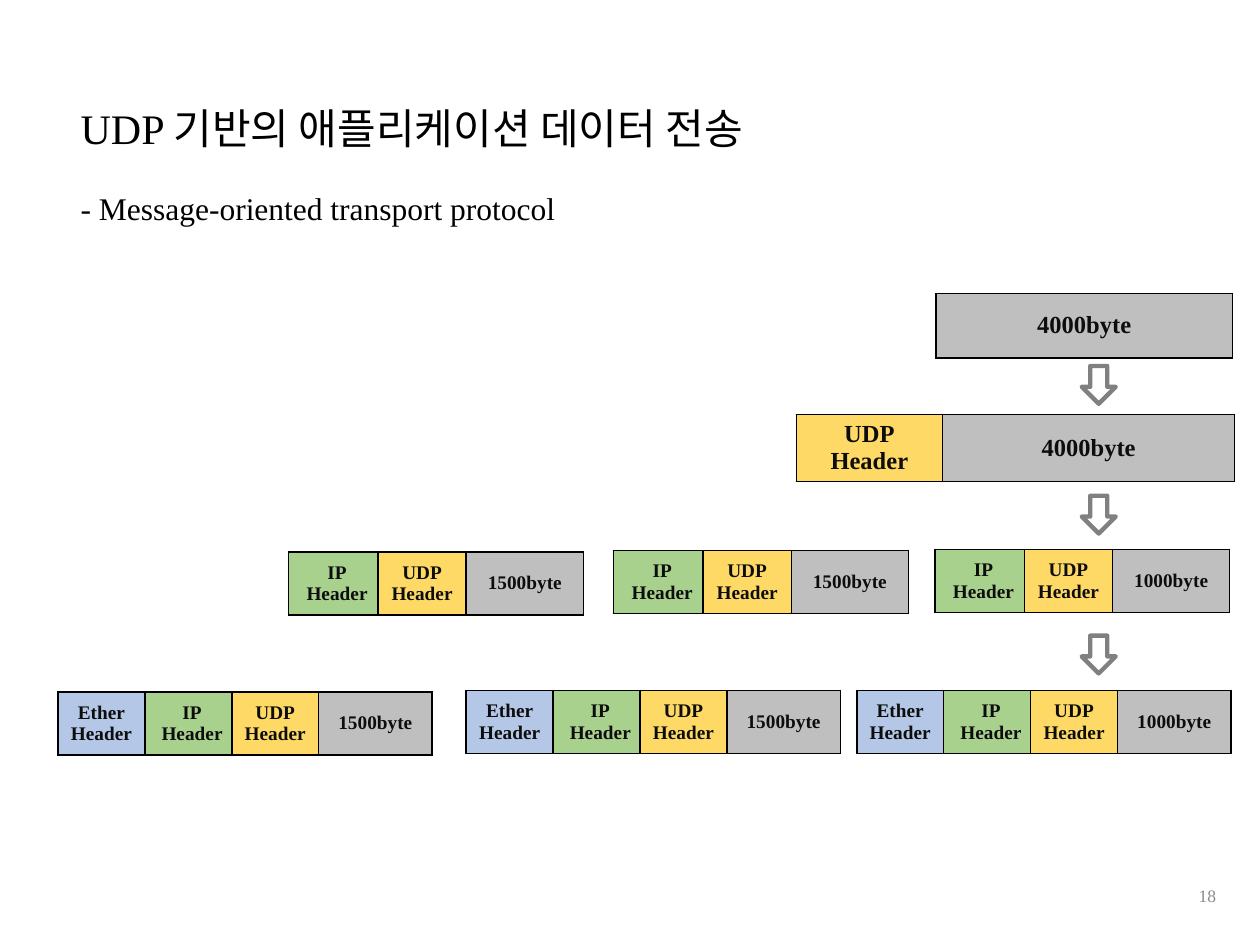
import pptx
import pptx.dml.color
import pptx.enum.shapes
import pptx.enum.text
import pptx.oxml
import pptx.oxml.ns
import pptx.util

deck = pptx.Presentation()
deck.slide_width = pptx.util.Inches(10)
deck.slide_height = pptx.util.Inches(7.5)
COLUMN = deck.slide_width / 100
ROW = deck.slide_height / 75
SERIF = "Times New Roman"
KOREAN = "Noto Sans CJK KR"
ANCHOR = pptx.enum.text.MSO_ANCHOR
ALIGN = pptx.enum.text.PP_ALIGN


def color(value):
    return pptx.dml.color.RGBColor.from_string(value)


def place(left, top, width, height):
    return int(left * COLUMN), int(top * ROW), int(width * COLUMN), int(height * ROW)


page = deck.slides.add_slide(deck.slide_layouts[1])
title, body = page.shapes.title, page.placeholders[1]
number = page.shapes.add_textbox(*place(75, 69.1, 22.5, 4))

texts = [
    (title, (5.4, 7.6, 59.2, 5), ["UDP ", "기반의 애플리케이션 데이터 전송"], 24, "000000", ALIGN.LEFT, ANCHOR.TOP),
    (body, (5.4, 14.5, 40.1, 4), ["- Message-oriented transport protocol"], 18, "000000", ALIGN.LEFT, ANCHOR.TOP),
    (number, (75, 69.1, 22.5, 4), ["18"], 10, "8C8C8C", ALIGN.RIGHT, ANCHOR.MIDDLE),
]
for box, area, spans, size, ink, align, anchor in texts:
    box.left, box.top, box.width, box.height = place(*area)
    frame = box.text_frame
    frame.auto_size = pptx.enum.text.MSO_AUTO_SIZE.NONE
    frame.word_wrap = box is number
    frame.vertical_anchor = anchor
    para = frame.paragraphs[0]
    para.alignment = align
    para.space_before = pptx.util.Pt(0)
    if box is body:
        properties = para._p.get_or_add_pPr()
        properties.set("marL", "0")
        properties.set("indent", "0")
        properties.append(pptx.oxml.parse_xml(f'<a:buNone {pptx.oxml.ns.nsdecls("a")}/>'))
    para.font.size = pptx.util.Pt(size)
    para.font.color.rgb = color(ink)
    if box is not title:
        para.font.name = SERIF
    for words in spans:
        span = para.add_run()
        span.text = words
        if box is title:
            span.font.name = SERIF if words == spans[0] else KOREAN
            span.font._element.append(pptx.oxml.parse_xml(
                f'<a:ea {pptx.oxml.ns.nsdecls("a")} typeface="{KOREAN}"/>'))

HEADER_FILLS = {"Ether": "B4C7E7", "IP": "A9D18E", "UDP": "FFD966"}
PACKET, FRAME = ["IP", "UDP"], ["Ether", "IP", "UDP"]
PACKET_WIDTHS, FRAME_WIDTHS = [7.1, 7, 9.3], [6.9, 6.9, 6.9, 9]
units = [
    (63.2, 32.9, [11.6, 23.2], 5.3, 14, ["UDP"], "4000byte"),
    (74.3, 23.3, [23.5], 5.1, 14, [], "4000byte"),
    (22.9, 43.8, PACKET_WIDTHS, 5, 11, PACKET, "1500byte"),
    (48.7, 43.7, PACKET_WIDTHS, 5, 11, PACKET, "1500byte"),
    (74.2, 43.6, PACKET_WIDTHS, 5, 11, PACKET, "1000byte"),
    (4.6, 54.9, FRAME_WIDTHS, 5, 11, FRAME, "1500byte"),
    (37, 54.8, FRAME_WIDTHS, 5, 11, FRAME, "1500byte"),
    (68, 54.8, FRAME_WIDTHS, 5, 11, FRAME, "1000byte"),
]
for left, top, widths, height, size, headers, payload in units:
    area = place(left, top, sum(widths), height)
    table = page.shapes.add_table(1, len(widths), *area).table
    table.first_row = table.horz_banding = False
    for index, (width, label) in enumerate(zip(widths, headers + [payload])):
        table.columns[index].width = int(width * COLUMN)
        cell = table.cell(0, index)
        cell.vertical_anchor = ANCHOR.MIDDLE
        shift = 0.3 if label == "IP" else 0
        cell.margin_left = int((0.7 + shift) * COLUMN)
        cell.margin_right = int((0.7 - shift) * COLUMN)
        cell.margin_top = cell.margin_bottom = int(0.4 * ROW)
        for side in ("lnL", "lnR", "lnT", "lnB"):
            cell._tc.get_or_add_tcPr().append(pptx.oxml.parse_xml(
                f'<a:{side} {pptx.oxml.ns.nsdecls("a")} w="12700"><a:solidFill>'
                f'<a:srgbClr val="000000"/></a:solidFill></a:{side}>'))
        cell.fill.solid()
        cell.fill.fore_color.rgb = color(HEADER_FILLS.get(label, "BFBFBF"))
        cell.text = f"{label}\nHeader" if label in HEADER_FILLS else label
        for para in cell.text_frame.paragraphs:
            para.alignment = ALIGN.CENTER
            para.font.name = SERIF
            para.font.size = pptx.util.Pt(size)
            para.font.bold = True
            para.font.color.rgb = color("0D0D0D")

for top in (29.2, 39.5, 50.6):
    arrow = page.shapes.add_shape(
        pptx.enum.shapes.MSO_SHAPE.RIGHT_ARROW, *place(85.7, top, 3, 2.7))
    arrow.rotation = 90
    arrow.shadow.inherit = False
    arrow.fill.background()
    arrow.line.color.rgb = color("808080")
    arrow.line.width = pptx.util.Pt(2.5)

deck.save("out.pptx")
